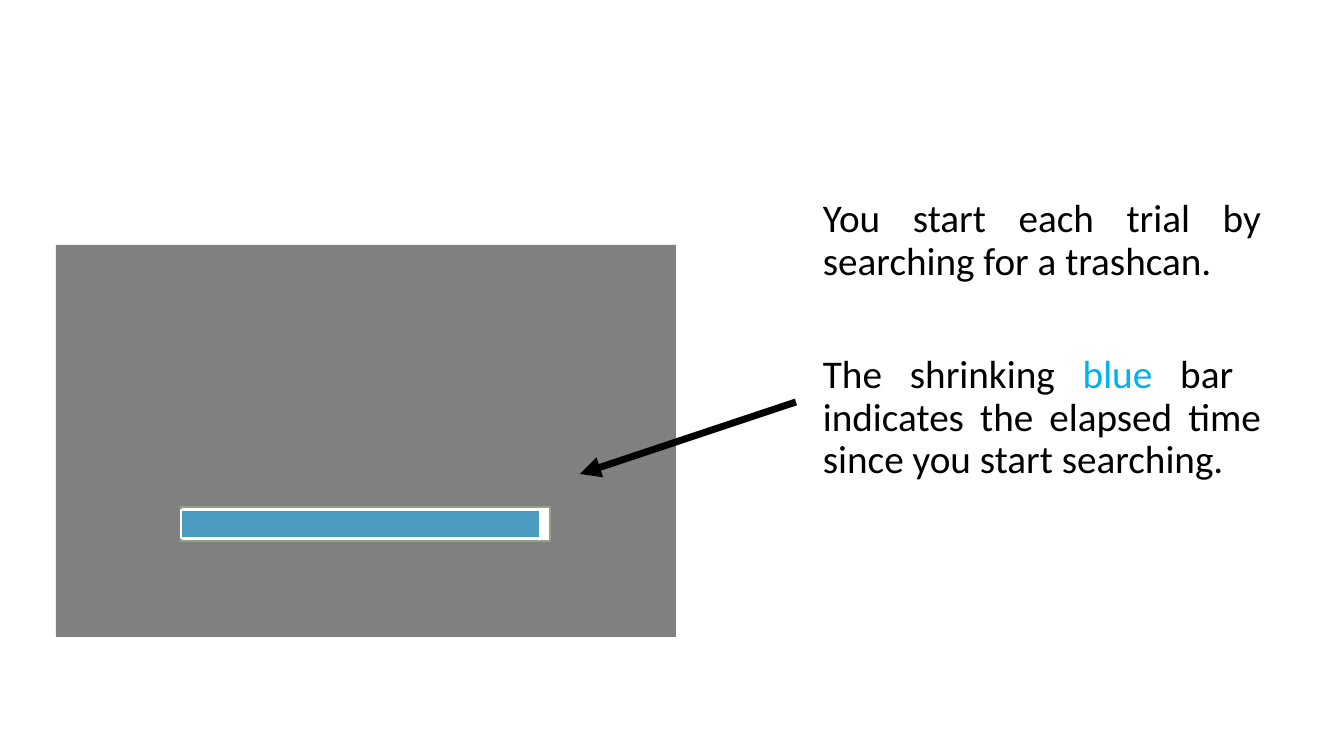
import pptx
import pptx.util
import pptx.dml.color
import pptx.enum.shapes
import pptx.enum.text
import pptx.oxml
import pptx.oxml.ns

COLOURS = {
    "text": "000000", "accent": "00B0F0", "screen": "808080", "track": "FFFFFF",
    "track_edge": "94A088", "bar": "4B9BC1", "bar_edge": "FFFFFF", "arrow": "000000",
}
FONT, FONT_SIZE = "Calibri", 28
PAGE_SIZE = (1344, 756)
TEXT_AREA = (813, 194, 458, 444)
PARAGRAPHS = [
    (0, [("You start each trial by searching for a trashcan.", "text")]),
    (51, [
        ("The shrinking ", "text"),
        ("blue", "accent"),
        (" bar  indicates the elapsed time since you start searching.", "text"),
    ]),
]
RECTANGLES = [
    ((56, 245, 620, 392), "screen", None),
    ((181, 507, 369, 34), "track", "track_edge"),
    ((181, 510, 359, 28), "bar", "bar_edge"),
]
ARROW = (796, 402, 580, 474)
ARROW_WIDTH = 5


def px(*lengths):
    return [round(length * 914400 / 100.8) for length in lengths]


def colour(name):
    return pptx.dml.color.RGBColor.from_string(COLOURS[name])


def add_text(page):
    box = page.shapes.add_textbox(*px(*TEXT_AREA))
    frame = box.text_frame
    frame.word_wrap = True
    for index, (space_before, spans) in enumerate(PARAGRAPHS):
        para = frame.add_paragraph() if index else frame.paragraphs[0]
        para.alignment = pptx.enum.text.PP_ALIGN.JUSTIFY
        para.line_spacing = 0.9
        para.space_before = pptx.util.Pt(space_before)
        for words, tint in spans:
            span = para.add_run()
            span.text = words
            span.font.name = FONT
            span.font.size = pptx.util.Pt(FONT_SIZE)
            span.font.color.rgb = colour(tint)


def add_rectangle(page, area, fill, edge):
    shape = page.shapes.add_shape(pptx.enum.shapes.MSO_SHAPE.RECTANGLE, *px(*area))
    shape.shadow.inherit = False
    shape.fill.solid()
    shape.fill.fore_color.rgb = colour(fill)
    if edge:
        shape.line.color.rgb = colour(edge)
        shape.line.width = pptx.util.Pt(1)
    else:
        shape.line.fill.background()


def add_arrow(page):
    arrow = page.shapes.add_connector(
        pptx.enum.shapes.MSO_CONNECTOR.STRAIGHT, *px(*ARROW))
    arrow.line.color.rgb = colour("arrow")
    arrow.line.width = pptx.util.Pt(ARROW_WIDTH)
    tip = pptx.oxml.parse_xml(
        f'<a:tailEnd {pptx.oxml.ns.nsdecls("a")} type="triangle"/>')
    arrow.line._get_or_add_ln().append(tip)
    no_effects = pptx.oxml.parse_xml(f'<a:effectLst {pptx.oxml.ns.nsdecls("a")}/>')
    arrow._element.spPr.append(no_effects)


def main():
    deck = pptx.Presentation()
    deck.slide_width, deck.slide_height = px(*PAGE_SIZE)
    page = deck.slides.add_slide(deck.slide_layouts[6])
    add_text(page)
    for area, fill, edge in RECTANGLES:
        add_rectangle(page, area, fill, edge)
    add_arrow(page)
    deck.save("out.pptx")


if __name__ == "__main__":
    main()
